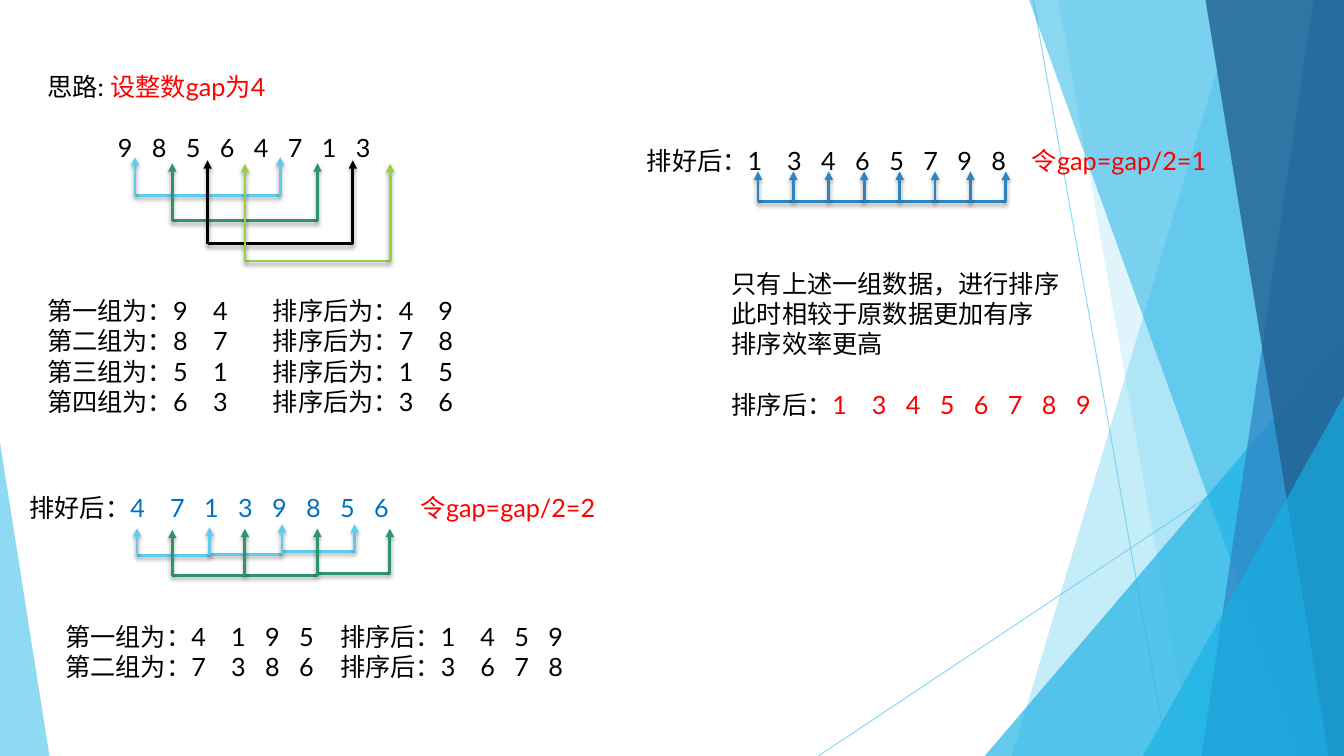
from lxml import etree
from pptx import Presentation
from pptx.dml.color import RGBColor
from pptx.enum.shapes import MSO_CONNECTOR, MSO_SHAPE
from pptx.enum.text import MSO_AUTO_SIZE
from pptx.oxml.ns import qn
from pptx.util import Pt

STRAIGHT = MSO_CONNECTOR.STRAIGHT
TRIANGLE = MSO_SHAPE.ISOSCELES_TRIANGLE
FIT_TEXT = MSO_AUTO_SIZE.SHAPE_TO_FIT_TEXT
COLOURS = {
    "black": "000000", "red": "FF0000", "number": "0070C0",
    "sky": "5FCBEF", "cyan": "17B0E4", "blue": "2E83C3",
    "navy": "226292", "green": "2E946B", "lime": "96D141",
}
WIDTH, HEIGHT = 960, 540
DIGIT_PITCH = 24.3

prs = Presentation()
prs.slide_width, prs.slide_height = Pt(WIDTH), Pt(HEIGHT)
slide = prs.slides.add_slide(prs.slide_layouts[6])


def add_line(start, end, colour, weight=2, alpha=100, shadow=True, arrow=False):
    line = slide.shapes.add_connector(STRAIGHT, *(Pt(v) for v in (*start, *end)))
    line.line.color.rgb = RGBColor.from_string(COLOURS[colour])
    line.line.width = Pt(weight)
    properties = line.element.spPr
    stroke = properties.find(qn("a:ln"))
    if alpha < 100:
        tint = stroke.find(".//" + qn("a:srgbClr"))
        etree.SubElement(tint, qn("a:alpha"), val=str(alpha * 1000))
    if arrow:
        etree.SubElement(stroke, qn("a:tailEnd"), type="triangle")
    effects = etree.SubElement(properties, qn("a:effectLst"))
    if shadow:
        outer = etree.SubElement(effects, qn("a:outerShdw"), blurRad=str(Pt(3)),
                                 dist=str(Pt(2)), dir="5400000", rotWithShape="0")
        black = etree.SubElement(outer, qn("a:srgbClr"), val=COLOURS["black"])
        etree.SubElement(black, qn("a:alpha"), val="35000")


def add_text(box, lines, first_tabs, gap_before=None):
    """Each line is a list of (text, colour); first_tabs maps a column start to its digit count."""
    frame = slide.shapes.add_textbox(*(Pt(v) for v in box)).text_frame
    frame.word_wrap = True
    frame.auto_size = FIT_TEXT
    for i, pieces in enumerate(lines):
        paragraph = frame.paragraphs[0] if i == 0 else frame.add_paragraph()
        paragraph.font.name = "Lato"
        paragraph.font.size = Pt(18)
        tab_list = etree.Element(qn("a:tabLst"))
        for first, count in first_tabs.items():
            for column in range(count):
                position = Pt(first + DIGIT_PITCH * column)
                etree.SubElement(tab_list, qn("a:tab"), pos=str(position), algn="l")
        paragraph._p.pPr.find(qn("a:defRPr")).addprevious(tab_list)
        if i == gap_before:
            paragraph.space_before = Pt(21.7)
        for text, colour in pieces:
            run = paragraph.add_run()
            run.text = text
            run.font.color.rgb = RGBColor.from_string(COLOURS[colour])


# Background facets: (top x, bottom x) runs to the right edge;
# (left, top, width, height, apex) is a triangle
add_line((738, 0), (834, HEIGHT), "sky", 0.75, 70, shadow=False)
add_line((WIDTH, 290), (584.6, HEIGHT), "sky", 0.75, 70, shadow=False)
facets = [
    ((884.2, 722.9), "sky", 36),
    ((756, 851.8), "sky", 20),
    ((703.4, 239.8, 256.6, 300.2, 1), "cyan", 66),
    ((735.1, 929.5), "cyan", 50),
    ((938.2, 858.2), "blue", 70),
    ((861.1, 949), "navy", 80),
    ((816.5, 283, 143.5, 257, 1), "cyan", 66),
    ((0, 316.1, 35.3, 223.9, 0), "sky", 70),
]
for outline, colour, alpha in facets:
    if len(outline) == 2:
        top_x, bottom_x = outline
        builder = slide.shapes.build_freeform(Pt(top_x), 0)
        corners = [(WIDTH, 0), (WIDTH, HEIGHT), (bottom_x, HEIGHT)]
        builder.add_line_segments([(Pt(x), Pt(y)) for x, y in corners], close=True)
        facet = builder.convert_to_shape()
    else:
        facet = slide.shapes.add_shape(TRIANGLE, *(Pt(v) for v in outline[:4]))
        facet.adjustments[0] = outline[4]
    facet.shadow.inherit = False
    facet.line.fill.background()
    facet.fill.solid()
    facet.fill.fore_color.rgb = RGBColor.from_string(COLOURS[colour])
    tint = facet.element.spPr.find(".//" + qn("a:srgbClr"))
    etree.SubElement(tint, qn("a:alpha"), val=str(alpha * 1000))

# Chains joining the numbers of a group: left, step, base of each link, arrow tips, colour
chains = [
    (96.5, 103.7, [139.7], [112.3] * 2, "sky"),
    (123.1, 103.7, [157.7], [116.6] * 2, "green"),
    (148.3, 103.7, [174.2], [114.5] * 2, "black"),
    (175, 103.7, [186.5], [117] * 2, "lime"),
    (97.9, 51.8, [396.7, 396, 393.8], [377.3, 376.6, 374.4, 374.4], "sky"),
    (123.1, 51.8, [411.1, 411.1, 409.7], [378.4, 377.6, 377.6, 377.6], "green"),
    (541.4, 25.3, [144] * 7, [122.4] * 8, "blue"),
]
for left, step, bases, tips, colour in chains:
    for i, base in enumerate(bases):
        add_line((left + step * i, base), (left + step * (i + 1), base), colour)
    for i, tip in enumerate(tips):
        x = left + step * i
        add_line((x, bases[max(i - 1, 0)]), (x, tip), colour, arrow=True)

# Gap 4
add_text((26.6, 47.5, 281, 72.7),
         [[("思路: ", "black"), ("设整数gap为4", "red")],
          [("\t9\t8\t5\t6\t4\t7\t1\t3", "black")]],
         {50.5: 8}, gap_before=1)
groups_of_two = [("一", "9\t4", "4\t9"), ("二", "8\t7", "7\t8"),
                 ("三", "5\t1", "1\t5"), ("四", "6\t3", "3\t6")]
add_text((26.6, 207.4, 324.7, 94.3),
         [[(f"第{number}组为：{before}\t排序后为：{after}", "black")]
          for number, before, after in groups_of_two],
         {118.5: 1, 161.3: 1, 279.5: 1})

# Gap 2
add_text((14, 348.1, 425.5, 28.8),
         [[("排好后：", "black"), ("4\t7\t1\t3\t9\t8\t5\t6\t", "number"),
           ("令gap=gap/2=2", "red")]],
         {100.4: 7, 279.5: 1})
groups_of_four = [("一", "4\t1\t9\t5", "1\t4\t5\t9"), ("二", "7\t3\t8\t6", "3\t6\t7\t8")]
add_text((39.6, 439.9, 382.3, 51.1),
         [[(f"第{number}组为：{before}\t排序后：{after}", "black")]
          for number, before, after in groups_of_four],
         {118.4: 3, 196.2: 1, 296.5: 3})

# Gap 1
add_text((455, 100.1, 425.5, 28.8),
         [[("排好后：1\t3\t4\t6\t5\t7\t9\t8\t", "black"), ("令gap=gap/2=1", "red")]],
         {100.2: 7, 275: 1})
add_text((515.5, 187.9, 279.4, 116.6),
         [[("只有上述一组数据，进行排序", "black")],
          [("此时相较于原数据更加有序", "black")],
          [("排序效率更高", "black")],
          [("排序后：", "black"), ("1\t3\t4\t5\t6\t7\t8\t9", "red")]],
         {100.2: 7}, gap_before=3)

prs.save("out.pptx")
